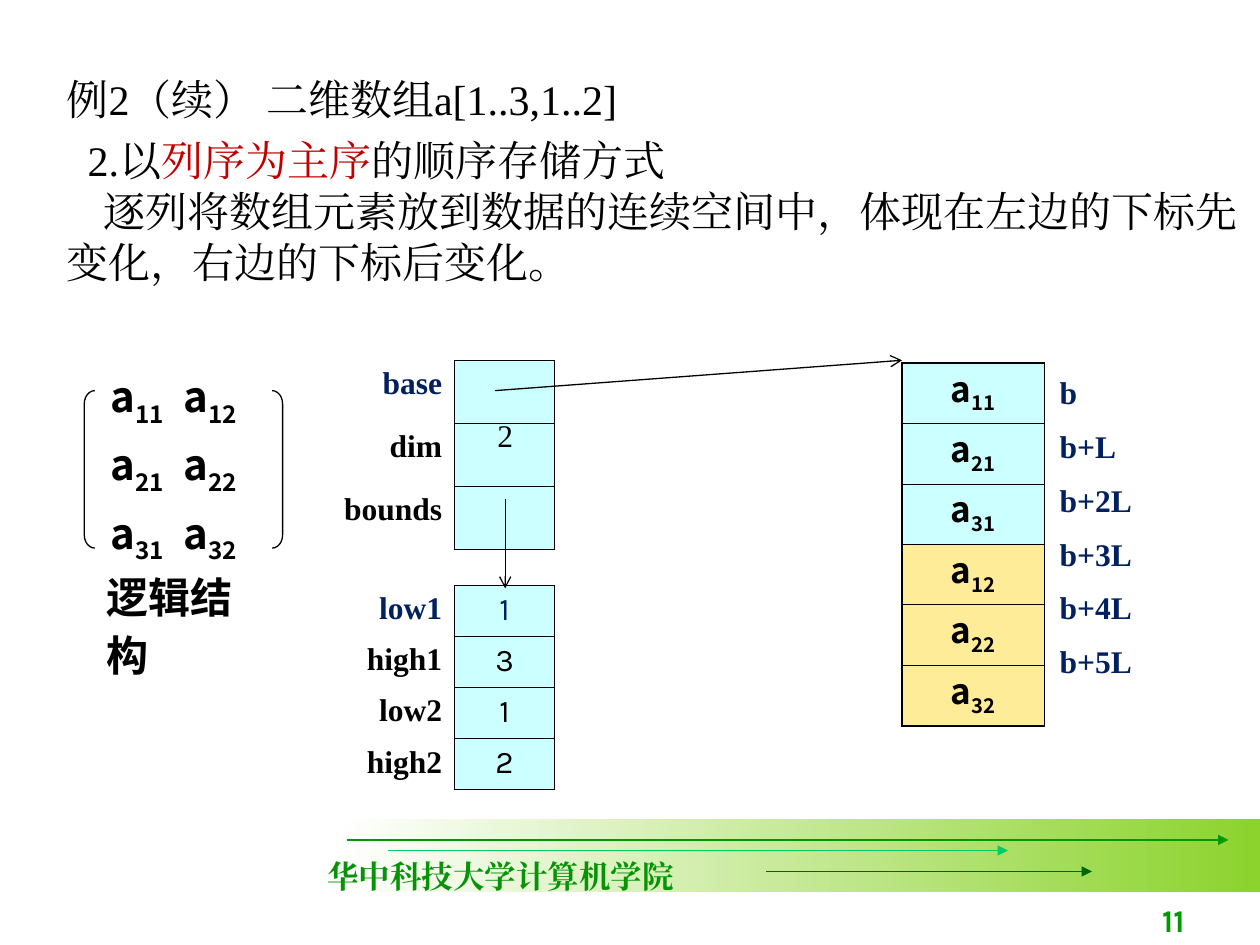
from dataclasses import dataclass
from typing import Optional

from lxml.etree import SubElement
from pptx import Presentation
from pptx.dml.color import RGBColor
from pptx.enum.shapes import MSO_CONNECTOR, MSO_SHAPE
from pptx.enum.text import MSO_ANCHOR, PP_ALIGN
from pptx.oxml.ns import qn
from pptx.util import Pt

TIMES, KARLA, SANS = "Times New Roman", "Karla", "Noto Sans CJK SC"
BLACK, WHITE, NAVY, RED = "000000", "FFFFFF", "002060", "C00000"
AQUA, SAND = "CCFFFF", "FFEC99"
PLAIN = "{2D5ABB26-0587-4C30-8999-92F81FD0307C}"
LEFT, MID, RIGHT = PP_ALIGN.LEFT, PP_ALIGN.CENTER, PP_ALIGN.RIGHT


@dataclass
class Run:
    text: str
    color: str = BLACK
    font: str = TIMES
    size: float = 18
    bold: bool = False
    sub: bool = False


@dataclass
class Para:
    runs: list[Run]
    align: PP_ALIGN = LEFT
    before: float = 0
    line: Optional[float] = None
    indent: float = 0
    tab: float = 0


@dataclass
class Edge:
    color: str
    width: float


@dataclass
class Cell:
    para: Optional[Para] = None
    fill: Optional[str] = None
    edges: Optional[dict[str, Edge]] = None


@dataclass
class Arrow:
    start: tuple[float, float]
    end: tuple[float, float]
    color: str
    head: str


def rgb(code: str) -> RGBColor:
    return RGBColor.from_string(code)


def write(frame, paras: list[Para]) -> None:
    for i, item in enumerate(paras):
        para = frame.add_paragraph() if i else frame.paragraphs[0]
        props = para._p.get_or_add_pPr()
        if item.tab:
            tabs = SubElement(props, qn("a:tabLst"))
            SubElement(tabs, qn("a:tab"), pos=str(Pt(item.tab)), algn="l")
        if item.indent:
            props.set("indent", str(Pt(item.indent)))
        para.alignment = item.align
        if item.before:
            para.space_before = Pt(item.before)
        if item.line:
            para.line_spacing = Pt(item.line)
        for part in item.runs:
            run = para.add_run()
            run.text = part.text
            font = run.font
            font.size, font.bold, font.name = Pt(part.size), part.bold, part.font
            font.color.rgb = rgb(part.color)
            look = run._r.get_or_add_rPr()
            SubElement(look, qn("a:ea"), typeface=part.font)
            if part.sub:
                look.set("baseline", "-25000")


def add_text(slide, box: tuple, paras: list[Para], wrap: bool = True,
             anchor: MSO_ANCHOR = MSO_ANCHOR.TOP) -> None:
    frame = slide.shapes.add_textbox(*map(Pt, box)).text_frame
    frame.word_wrap, frame.vertical_anchor = wrap, anchor
    write(frame, paras)


def add_arrow(slide, item: Arrow) -> None:
    line = slide.shapes.add_connector(
        MSO_CONNECTOR.STRAIGHT, *map(Pt, item.start + item.end))
    line.line.color.rgb = rgb(item.color)
    line.line.width = Pt(0.75)
    SubElement(line.line._get_or_add_ln(), qn("a:tailEnd"), type=item.head)
    SubElement(line._element.spPr, qn("a:effectLst"))


def add_edge(cell, side: str, edge: Edge) -> None:
    line = SubElement(cell._tc.get_or_add_tcPr(), qn("a:ln" + side),
                      w=str(Pt(edge.width)))
    fill = SubElement(line, qn("a:solidFill"))
    SubElement(fill, qn("a:srgbClr"), val=edge.color)


def add_grid(slide, spot: tuple, cols: list[float], high: float,
             rows: list[list[Cell]]) -> None:
    size = (sum(cols), high * len(rows))
    grid = slide.shapes.add_table(len(rows), len(cols),
                                  *map(Pt, spot + size)).table
    grid.first_row = grid.horz_banding = False
    grid._tbl.tblPr[0].text = PLAIN
    for col, wide in zip(grid.columns, cols):
        col.width = Pt(wide)
    for r, row in enumerate(rows):
        grid.rows[r].height = Pt(high)
        for c, item in enumerate(row):
            cell = grid.cell(r, c)
            for side in "LRTB":
                if item.edges:
                    add_edge(cell, side, item.edges[side])
            if item.fill:
                cell.fill.solid()
                cell.fill.fore_color.rgb = rgb(item.fill)
            else:
                cell.fill.background()
            if item.para:
                write(cell.text_frame, [item.para])


def term(index: str, size: float, lead: str = "") -> list[Run]:
    return [Run(lead + "a", BLACK, SANS, size, True),
            Run(index, BLACK, SANS, size, True, True)]


def field_rows(names: list[str], values: list[str]) -> list[list[Cell]]:
    """Rows of a right-aligned label and a boxed value; the first is navy."""
    thin, clear = Edge(BLACK, 0.45), Edge(WHITE, 0.45)
    rows = []
    for i, (name, value) in enumerate(zip(names, values)):
        tint = BLACK if i else NAVY
        label = Para([Run(name, tint, bold=True)], RIGHT)
        mark = Para([Run(value, tint, KARLA)], MID) if value else None
        rows.append([Cell(label, None, dict(L=clear, R=thin, T=clear, B=clear)),
                     Cell(mark, AQUA, dict.fromkeys("LRTB", thin))])
    return rows


def main() -> None:
    deck = Presentation()
    deck.slide_width, deck.slide_height = Pt(720), Pt(540)
    slide = deck.slides.add_slide(deck.slide_layouts[6])

    # Footer band, arrows, school and page number
    band = slide.shapes.add_shape(
        MSO_SHAPE.RECTANGLE, *map(Pt, (192, 468, 528, 42)))
    band.shadow.inherit = False
    band.line.fill.background()
    band.fill.gradient()
    band.fill.gradient_angle = 0
    for stop, tint in zip(band.fill.gradient_stops, (WHITE, "8CD32D")):
        stop.color.rgb = rgb(tint)
    for item in (Arrow((198, 480), (702, 480), "009900", "triangle"),
                 Arrow((222, 486), (576, 486), "00CC66", "triangle"),
                 Arrow((438, 498), (624, 498), "006600", "triangle")):
        add_arrow(slide, item)
    add_text(slide, (180, 486, 212.4, 29),
             [Para([Run("华中科技大学计算机学院", "069406", bold=True)])], False)
    add_text(slide, (534, 504, 150, 36),
             [Para([Run("11", "009900", KARLA, bold=True)], RIGHT)],
             anchor=MSO_ANCHOR.BOTTOM)

    # Logical matrix between brackets
    add_text(slide, (56.2, 208, 114, 118), [
        Para(term(f"{i}1", 24) + term(f"{i}2", 24, "\t"),
             before=6 if i > 1 else 0, line=33, tab=41.5)
        for i in (1, 2, 3)])
    for kind, left in ((MSO_SHAPE.LEFT_BRACKET, 48.2),
                       (MSO_SHAPE.RIGHT_BRACKET, 155.5)):
        mark = slide.shapes.add_shape(kind, *map(Pt, (left, 223.2, 6, 90)))
        mark.adjustments[0] = 1.25
        mark.shadow.inherit = False
        mark.fill.background()
        mark.line.color.rgb = rgb(BLACK)
        mark.line.width = Pt(0.75)
    add_text(slide, (54, 319, 110, 36),
             [Para([Run("逻辑结构", BLACK, SANS, 24, True)], line=33)], False)

    # Heading and explanation
    add_text(slide, (31, 38.2, 689, 129), [
        Para([Run("例2（续） 二维数组a[1..3,1..2]", size=24)], line=29),
        Para([Run("2.以", size=24), Run("列序为主序", RED, size=24),
              Run("的顺序存储方式", size=24)], before=6, line=29, indent=12),
        Para([Run("逐列将数组元素放到数据的连续空间中，体现在左边的下标先变化，"
                  "右边的下标后变化。", size=24)], line=29, indent=21)])

    # Storage in column order
    order = [f"{i}{j}" for j in (1, 2) for i in (1, 2, 3)]
    thin, thick = Edge(BLACK, 0.45), Edge(BLACK, 1.08)
    store = [[Cell(Para(term(index, 20), MID, line=27),
                   AQUA if index[1] == "1" else SAND,
                   dict(L=thick, R=thick, T=thin if n else thick,
                        B=thick if n == len(order) - 1 else thin))]
             for n, index in enumerate(order)]
    add_grid(slide, (515.5, 207.4), [81.4], 34.56, store)

    # Array descriptor and its bounds
    cols = [73.4, 56.9]
    add_grid(slide, (186.5, 205.9), cols, 36,
             field_rows(["base", "dim", "bounds"], ["", "", ""]))
    add_arrow(slide, Arrow((283, 223.2), (515.5, 205.9), BLACK, "arrow"))
    add_grid(slide, (186.5, 334.5), cols, 29.2,
             field_rows(["low1", "high1", "low2", "high2"],
                        ["1", "3", "1", "2"]))
    add_text(slide, (277.2, 234, 45.4, 29), [Para([Run("2")])])
    add_arrow(slide, Arrow((288.7, 285.1), (288.7, 336.2), BLACK, "arrow"))

    # Addresses
    places = ["b", "b+L"] + [f"b+{n}L" for n in range(2, 6)]
    add_grid(slide, (598.3, 211.7), [118.8], 30.7,
             [[Cell(Para([Run(place, NAVY, bold=True)]))] for place in places])

    deck.save("out.pptx")


if __name__ == "__main__":
    main()
